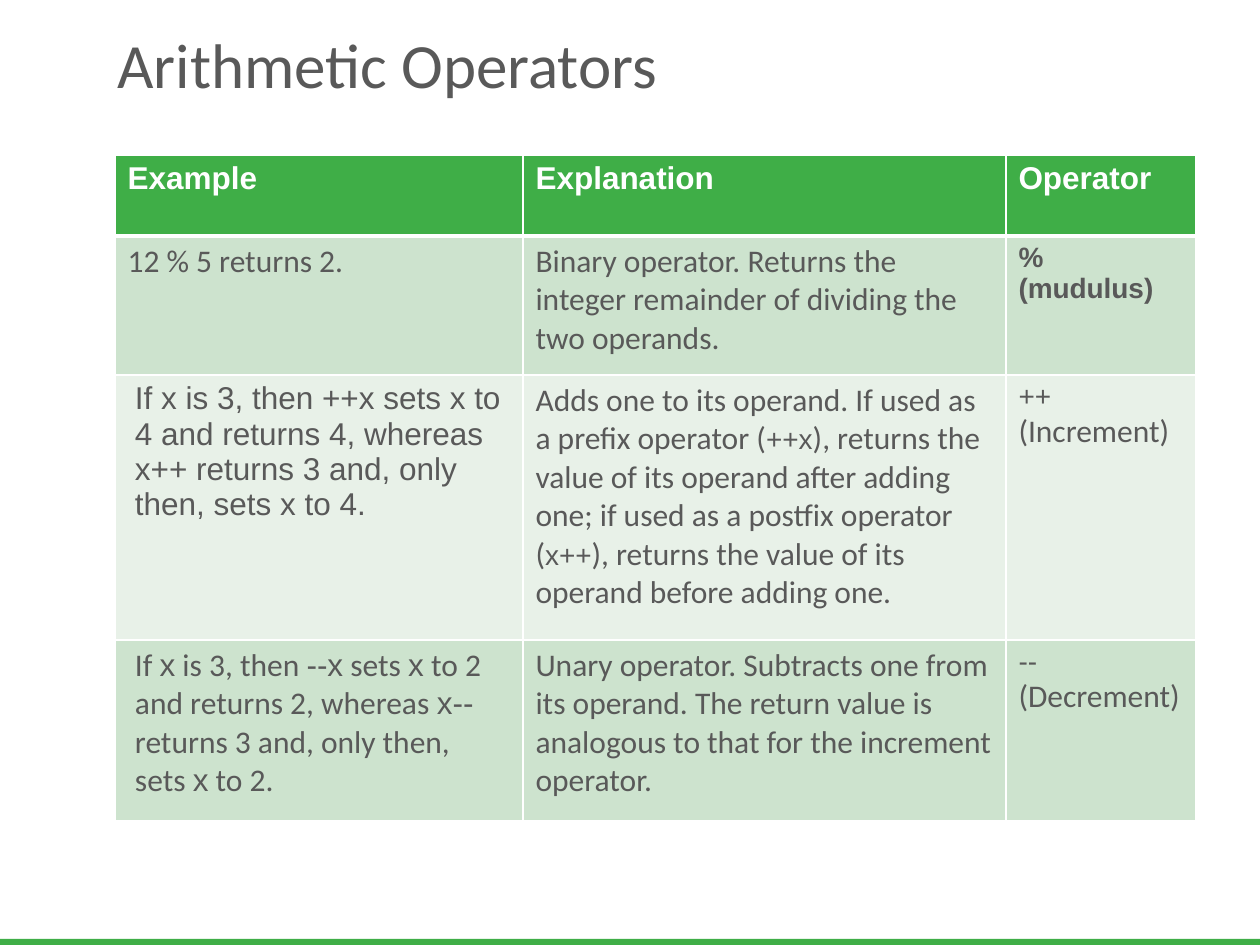
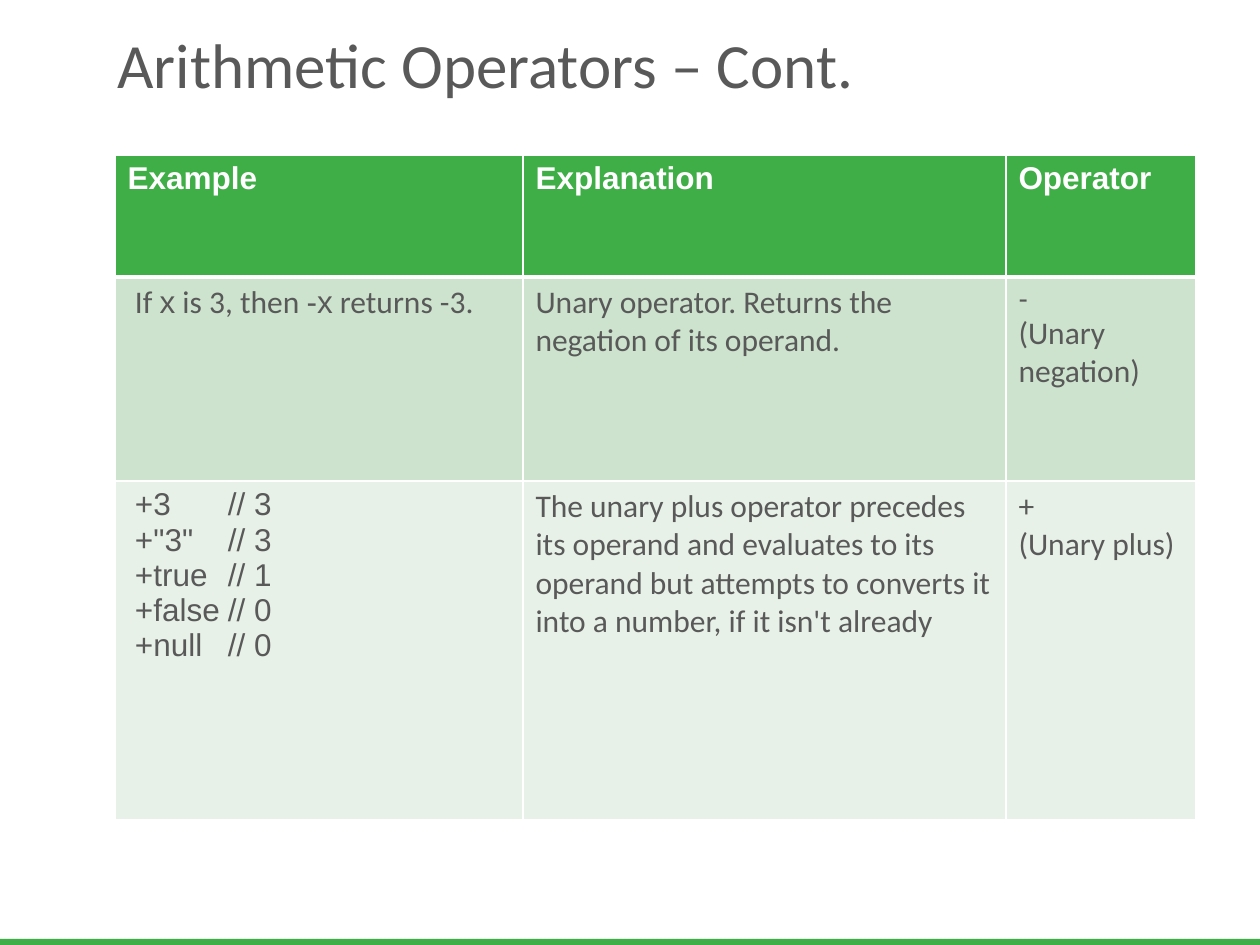
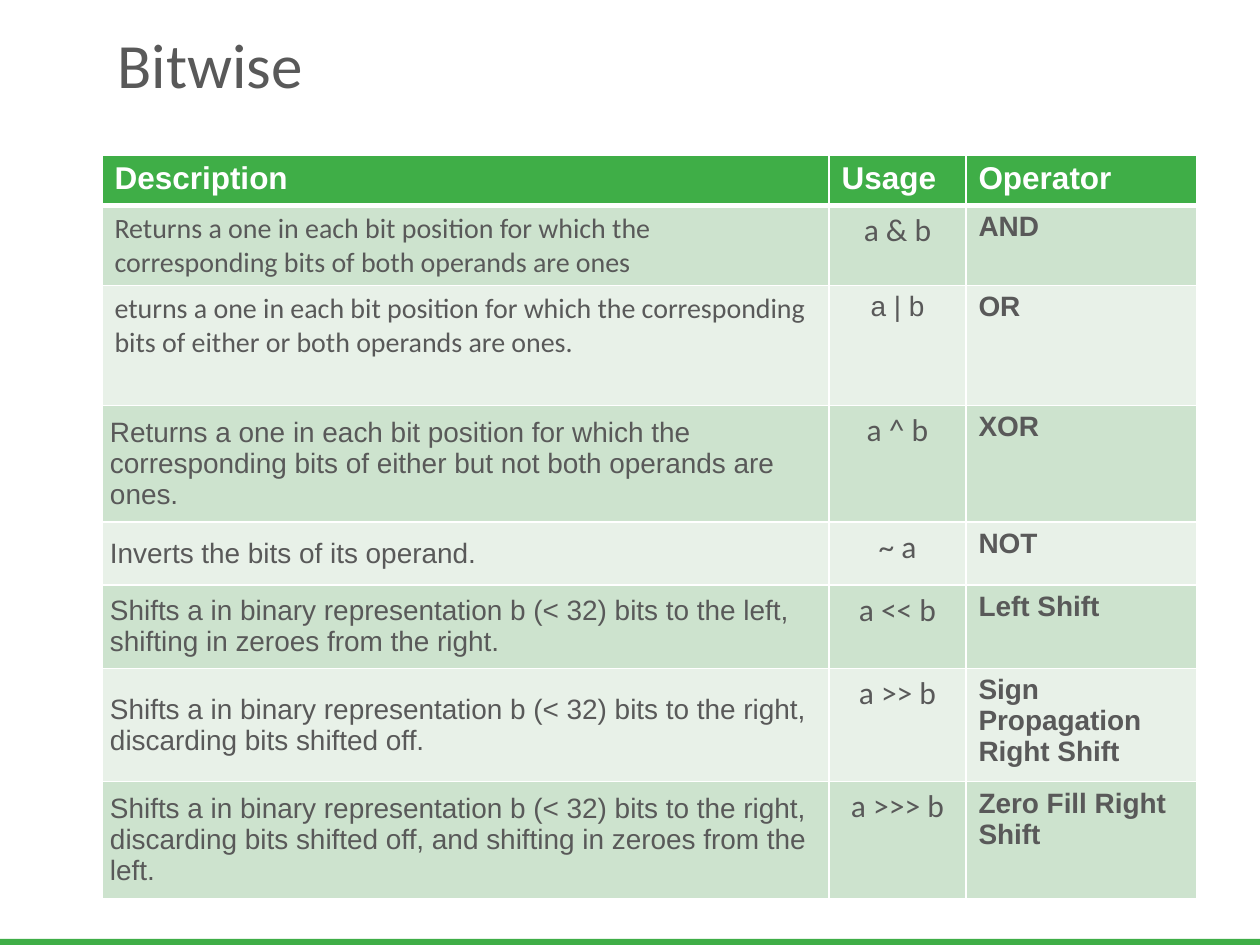
from lxml import etree
from pptx import Presentation
from pptx import util as u
from pptx.dml.color import RGBColor
from pptx.enum import shapes, text
from pptx.oxml import ns

GREEN = RGBColor(0x3F, 0xAE, 0x47)
DARK_BAND = RGBColor(0xCD, 0xE3, 0xCE)
LIGHT_BAND = RGBColor(0xE8, 0xF1, 0xE8)
GREY = RGBColor(0x59, 0x59, 0x59)
WHITE = RGBColor(0xFF, 0xFF, 0xFF)

EMU_PER_PX = 914400 / 126
BODY_FONT, CODE_FONT = "Calibri", "Arial"


def px(length):
    return u.Emu(round(length * EMU_PER_PX))


def look(name=BODY_FONT, size=18, bold=False, color=GREY, code_size=None,
         align=text.PP_ALIGN.LEFT, tab=None, **cell):
    """Text format; code_size is the size of `code` spans, cell holds cell attributes."""
    return {"font": {"name": name, "size": u.Pt(size), "bold": bold}, "color": color,
            "code_size": u.Pt(code_size or size), "align": align, "tab": tab, "cell": cell}


SIDES = dict.fromkeys(("margin_left", "margin_right"), px(20))
TIGHT = dict.fromkeys(
    ("margin_left", "margin_right", "margin_top", "margin_bottom"), px(8))

TITLE = look(size=36)
HEADER = look(CODE_FONT, bold=True, color=WHITE)
PLAIN = look(code_size=16)
EXAMPLE = look(**SIDES)
CODE_EXAMPLE = look(CODE_FONT, **SIDES)
CODE_COLUMNS = look(CODE_FONT, tab=93, **SIDES)
OPERATOR = look(CODE_FONT, 16, bold=True)
SMALL = look(size=16)
USAGE = look(align=text.PP_ALIGN.CENTER)
CODE_USAGE = look(CODE_FONT, 16, align=text.PP_ALIGN.CENTER)
NOTE = look(CODE_FONT, 16, vertical_anchor=text.MSO_ANCHOR.MIDDLE, **TIGHT)


class Deck:
    def __init__(self):
        self.deck = Presentation()
        self.deck.slide_width, self.deck.slide_height = px(1260), px(945)
        self.page = None

    def add_page(self, title):
        self.page = self.deck.slides.add_slide(self.deck.slide_layouts[6])
        self.band(-2, 939, 1265, 10)
        self.title(title, 105, 0, 1092, 126)

    def band(self, *place):
        band = self.page.shapes.add_shape(
            shapes.MSO_SHAPE.RECTANGLE, *map(px, place))
        band.shadow.inherit = False
        band.fill.solid()
        band.fill.fore_color.rgb = GREEN
        band.line.fill.background()

    def title(self, words, *place):
        frame = self.page.shapes.add_textbox(*map(px, place)).text_frame
        frame.word_wrap = True
        frame.vertical_anchor = text.MSO_ANCHOR.MIDDLE
        self.paragraphs(frame, words, TITLE)

    def paragraphs(self, frame, words, style):
        """Fill a frame: newline = paragraph, \\v = line break, backticks = code font."""
        for number, line in enumerate(words.split("\n")):
            para = frame.add_paragraph() if number else frame.paragraphs[0]
            para.alignment = style["align"]
            if style["tab"]:
                stops = etree.SubElement(para._p.get_or_add_pPr(), ns.qn("a:tabLst"))
                etree.SubElement(stops, ns.qn("a:tab"),
                                 pos=str(px(style["tab"])), algn="l")
            for index, part in enumerate(line.split("`")):
                font = dict(style["font"])
                if index % 2:
                    font.update(name=CODE_FONT, size=style["code_size"])
                for piece_number, piece in enumerate(part.split("\v")):
                    if piece_number:
                        para.add_line_break()
                    if piece:
                        self.span(para, piece, font, style["color"])

    def span(self, para, words, font, color):
        span = para.add_run()
        span.text = words
        for name, value in font.items():
            setattr(span.font, name, value)
        span.font.color.rgb = color

    def borders(self, cell, **widths):
        """Draw white borders; widths maps L, R, T, B to points."""
        for side in "LRTB":
            line = etree.SubElement(cell._tc.get_or_add_tcPr(), ns.qn(f"a:ln{side}"),
                                    w=str(u.Pt(widths.get(side, 1))))
            fill = etree.SubElement(line, ns.qn("a:solidFill"))
            etree.SubElement(fill, ns.qn("a:srgbClr"), val=str(WHITE))

    def table(self, left, top, widths, heights, header, looks, rows):
        """Banded table; a cell is a text, or (text, look) to override its column's look."""
        place = (left, top, sum(widths), sum(heights))
        table = self.page.shapes.add_table(
            len(heights), len(widths), *map(px, place)).table
        for column, width in zip(table.columns, widths):
            column.width = px(width)
        for row, height in zip(table.rows, heights):
            row.height = px(height)
        for r, entries in enumerate([header] + rows):
            color = (DARK_BAND if r % 2 else LIGHT_BAND) if r else GREEN
            for c, entry in enumerate(entries):
                default = looks[c] if r else HEADER
                words, style = entry if isinstance(entry, tuple) else (entry, default)
                cell = table.cell(r, c)
                self.borders(cell, T=3 if r == 1 else 1, B=1 if r else 3)
                cell.fill.solid()
                cell.fill.fore_color.rgb = color
                for name, value in style["cell"].items():
                    setattr(cell, name, value)
                self.paragraphs(cell.text_frame, words, style)


ARITHMETIC = {"left": 115, "top": 155, "widths": [408, 483, 190],
              "header": ["Example", "Explanation", "Operator"],
              "looks": [EXAMPLE, PLAIN, PLAIN]}


def main():
    deck = Deck()

    deck.add_page("Arithmetic Operators")
    deck.table(**ARITHMETIC, heights=[81, 139, 265, 181], rows=[
        [("12 % 5 returns 2.", PLAIN),
         "Binary operator. Returns the integer remainder of dividing the two operands.",
         ("% (mudulus)", OPERATOR)],
        [("If x is 3, then ++x sets x to 4 and returns 4, "
          "whereas x++ returns 3 and, only then, sets x to 4.", CODE_EXAMPLE),
         "Adds one to its operand. If used as a prefix operator (`++x`), returns the value "
         "of its operand after adding one; if used as a postfix operator (`x++`), returns "
         "the value of its operand before adding one.",
         "`++`\v(Increment)"],
        ["If `x` is 3, then `--x` sets `x` to 2 and returns 2, "
         "whereas `x--` returns 3 and, only then, sets `x` to 2.",
         "Unary operator. Subtracts one from its operand. The return value is analogous "
         "to that for the increment operator.",
         "`--`\v(Decrement)"],
    ])

    deck.add_page("Arithmetic Operators – Cont.")
    deck.table(**ARITHMETIC, heights=[122, 204, 339], rows=[
        ["If `x` is 3, then `-x` returns -3.",
         "Unary operator. Returns the negation of its operand.",
         "`-`\v(Unary negation)"],
        [("+3\t// 3\n+\"3\"\t// 3\n+true\t// 1\n+false\t// 0\n+null\t// 0", CODE_COLUMNS),
         "The unary plus operator precedes its operand and evaluates to its operand but "
         "attempts to converts it into a number, if it isn't already",
         "+\n(Unary plus)"],
    ])

    deck.add_page("Bitwise")
    deck.table(
        102, 155, [727, 137, 231], [50, 79, 120, 79, 63, 79, 79, 79],
        ["Description", "Usage", "Operator"], [NOTE, USAGE, OPERATOR], [
            [("Returns a one in each bit position for which the corresponding bits of "
              "both operands are ones", SMALL), "a & b", "AND"],
            [("eturns a one in each bit position for which the corresponding bits of "
              "either or both operands are ones.", SMALL), ("a | b", CODE_USAGE), "OR"],
            ["Returns a one in each bit position for which the corresponding bits of "
             "either but not both operands are ones.", "a ^ b", "XOR"],
            ["Inverts the bits of its operand.", "~ a", "NOT"],
            ["Shifts a in binary representation b (< 32) bits to the left, "
             "shifting in zeroes from the right.", "a << b", "Left Shift"],
            ["Shifts a in binary representation b (< 32) bits to the right, "
             "discarding bits shifted off.", "a >> b", "Sign Propagation Right Shift"],
            ["Shifts a in binary representation b (< 32) bits to the right, "
             "discarding bits shifted off, and shifting in zeroes from the left.",
             "a >>> b", "Zero Fill Right Shift"],
        ])

    deck.deck.save("out.pptx")


if __name__ == "__main__":
    main()
